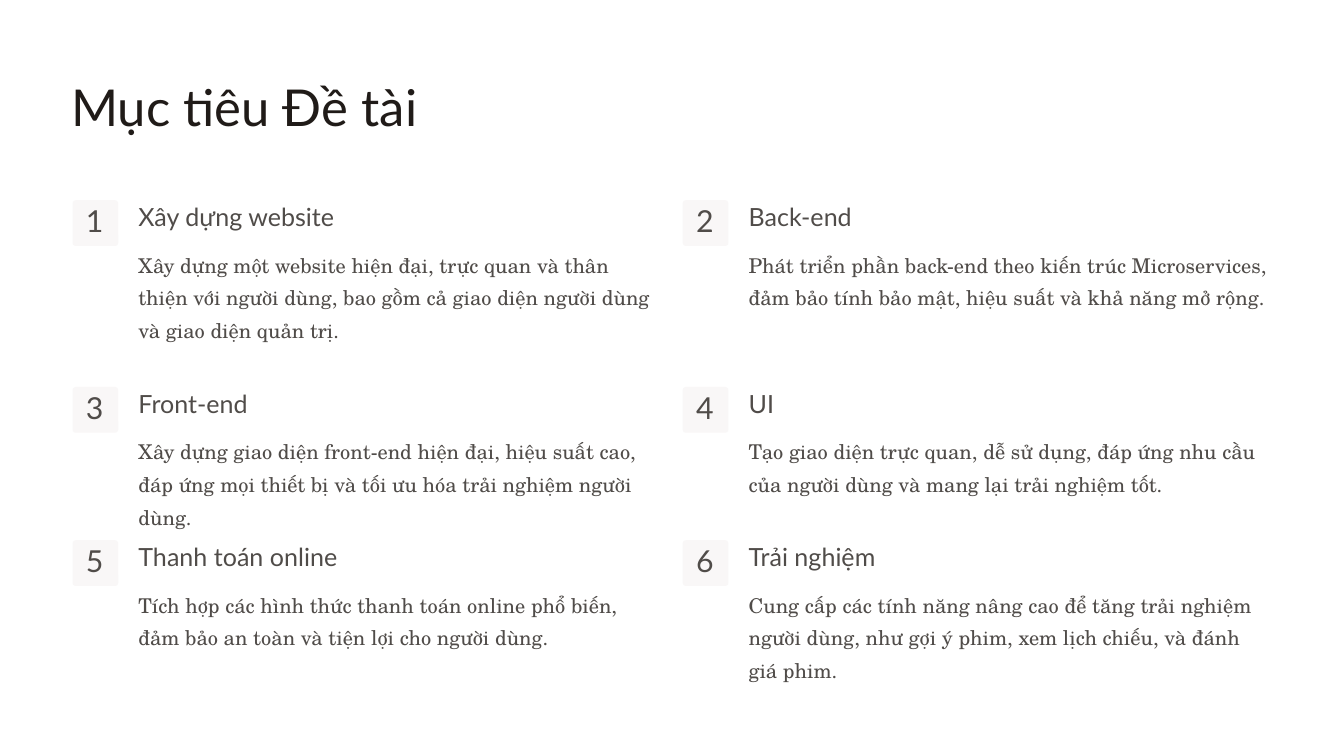
"""Build the slide that lists the six goals of the project."""
from dataclasses import dataclass

from pptx import Presentation
from pptx.dml.color import RGBColor
from pptx.enum.shapes import MSO_SHAPE
from pptx.enum.text import MSO_ANCHOR, PP_ALIGN
from pptx.slide import Slide
from pptx.util import Inches, Pt

ROUNDED = MSO_SHAPE.ROUNDED_RECTANGLE
TOP = MSO_ANCHOR.TOP
LEFT, CENTER = PP_ALIGN.LEFT, PP_ALIGN.CENTER


@dataclass(frozen=True)
class TextStyle:
    font: str
    size: float
    line_spacing: float
    color: RGBColor
    align: PP_ALIGN = LEFT
    wrap: bool = False


@dataclass(frozen=True)
class Theme:
    background: RGBColor
    badge: RGBColor
    title: TextStyle
    number: TextStyle
    heading: TextStyle
    body: TextStyle


@dataclass(frozen=True)
class Box:
    left: float
    top: float
    width: float
    height: float


@dataclass(frozen=True)
class Goal:
    heading: str
    body: str
    body_height: float


GRAY = RGBColor(0x50, 0x4C, 0x49)
THEME = Theme(
    background=RGBColor(0xFF, 0xFF, 0xFF),
    badge=RGBColor(0xF9, 0xF7, 0xF7),
    title=TextStyle("Lato", 27.2, 34.1, RGBColor(0x20, 0x1B, 0x18)),
    number=TextStyle("Lato", 16.2, 16.2, GRAY, align=CENTER),
    heading=TextStyle("Lato", 13.4, 16.9, GRAY),
    body=TextStyle("TeX Gyre Schola", 10.9, 17.5, GRAY, wrap=True),
)

SLIDE_WIDTH = Inches(10)
SLIDE_HEIGHT = SLIDE_WIDTH * 9 // 16
TWO_LINES, THREE_LINES = 0.49, 0.73
COLUMN_LEFTS = (0.54, 5.08)
ROW_TOPS = (1.49, 2.88, 4.02)
BADGE_SIZE = 0.34
TEXT_OFFSET = 0.49

GOALS = (
    Goal(
        "Xây dựng website",
        "Xây dựng một website hiện đại, trực quan và thân thiện với người dùng, "
        "bao gồm cả giao diện người dùng và giao diện quản trị.",
        THREE_LINES,
    ),
    Goal(
        "Back-end",
        "Phát triển phần back-end theo kiến trúc Microservices, "
        "đảm bảo tính bảo mật, hiệu suất và khả năng mở rộng.",
        TWO_LINES,
    ),
    Goal(
        "Front-end",
        "Xây dựng giao diện front-end hiện đại, hiệu suất cao, "
        "đáp ứng mọi thiết bị và tối ưu hóa trải nghiệm người dùng.",
        TWO_LINES,
    ),
    Goal(
        "UI",
        "Tạo giao diện trực quan, dễ sử dụng, đáp ứng nhu cầu "
        "của người dùng và mang lại trải nghiệm tốt.",
        TWO_LINES,
    ),
    Goal(
        "Thanh toán online",
        "Tích hợp các hình thức thanh toán online phổ biến, "
        "đảm bảo an toàn và tiện lợi cho người dùng.",
        TWO_LINES,
    ),
    Goal(
        "Trải nghiệm",
        "Cung cấp các tính năng nâng cao để tăng trải nghiệm người dùng, "
        "như gợi ý phim, xem lịch chiếu, và đánh giá phim.",
        THREE_LINES,
    ),
)


def add_text(slide: Slide, text: str, box: Box, style: TextStyle) -> None:
    shape = slide.shapes.add_textbox(
        Inches(box.left), Inches(box.top), Inches(box.width), Inches(box.height)
    )
    text_frame = shape.text_frame
    text_frame.margin_left = text_frame.margin_right = 0
    text_frame.margin_top = text_frame.margin_bottom = 0
    text_frame.vertical_anchor = TOP
    text_frame.word_wrap = style.wrap
    text_frame.text = text
    paragraph = text_frame.paragraphs[0]
    paragraph.alignment = style.align
    paragraph.line_spacing = Pt(style.line_spacing)
    font = paragraph.runs[0].font
    font.name = style.font
    font.size = Pt(style.size)
    font.color.rgb = style.color


def add_badge(slide: Slide, number: int, left: float, top: float) -> None:
    shape = slide.shapes.add_shape(
        ROUNDED, Inches(left), Inches(top), Inches(BADGE_SIZE), Inches(BADGE_SIZE)
    )
    shape.adjustments[0] = 0.07
    shape.shadow.inherit = False
    shape.fill.solid()
    shape.fill.fore_color.rgb = THEME.badge
    shape.line.fill.background()
    add_text(slide, str(number), Box(left + 0.09, top + 0.06, 0.15, 0.23), THEME.number)


def add_goal(slide: Slide, number: int, goal: Goal, left: float, top: float) -> None:
    add_badge(slide, number, left, top)
    text_left = left + TEXT_OFFSET
    add_text(slide, goal.heading, Box(text_left, top, 1.91, 0.24), THEME.heading)
    body_box = Box(text_left, top + 0.33, 3.89, goal.body_height)
    add_text(slide, goal.body, body_box, THEME.body)


def main() -> None:
    presentation = Presentation()
    presentation.slide_width = SLIDE_WIDTH
    presentation.slide_height = SLIDE_HEIGHT
    slide = presentation.slides.add_slide(presentation.slide_layouts[6])
    slide.background.fill.solid()
    slide.background.fill.fore_color.rgb = THEME.background

    add_text(slide, "Mục tiêu Đề tài", Box(0.53, 0.54, 3.81, 0.48), THEME.title)
    for index, goal in enumerate(GOALS):
        row, column = divmod(index, len(COLUMN_LEFTS))
        add_goal(slide, index + 1, goal, COLUMN_LEFTS[column], ROW_TOPS[row])

    presentation.save("out.pptx")


if __name__ == "__main__":
    main()
